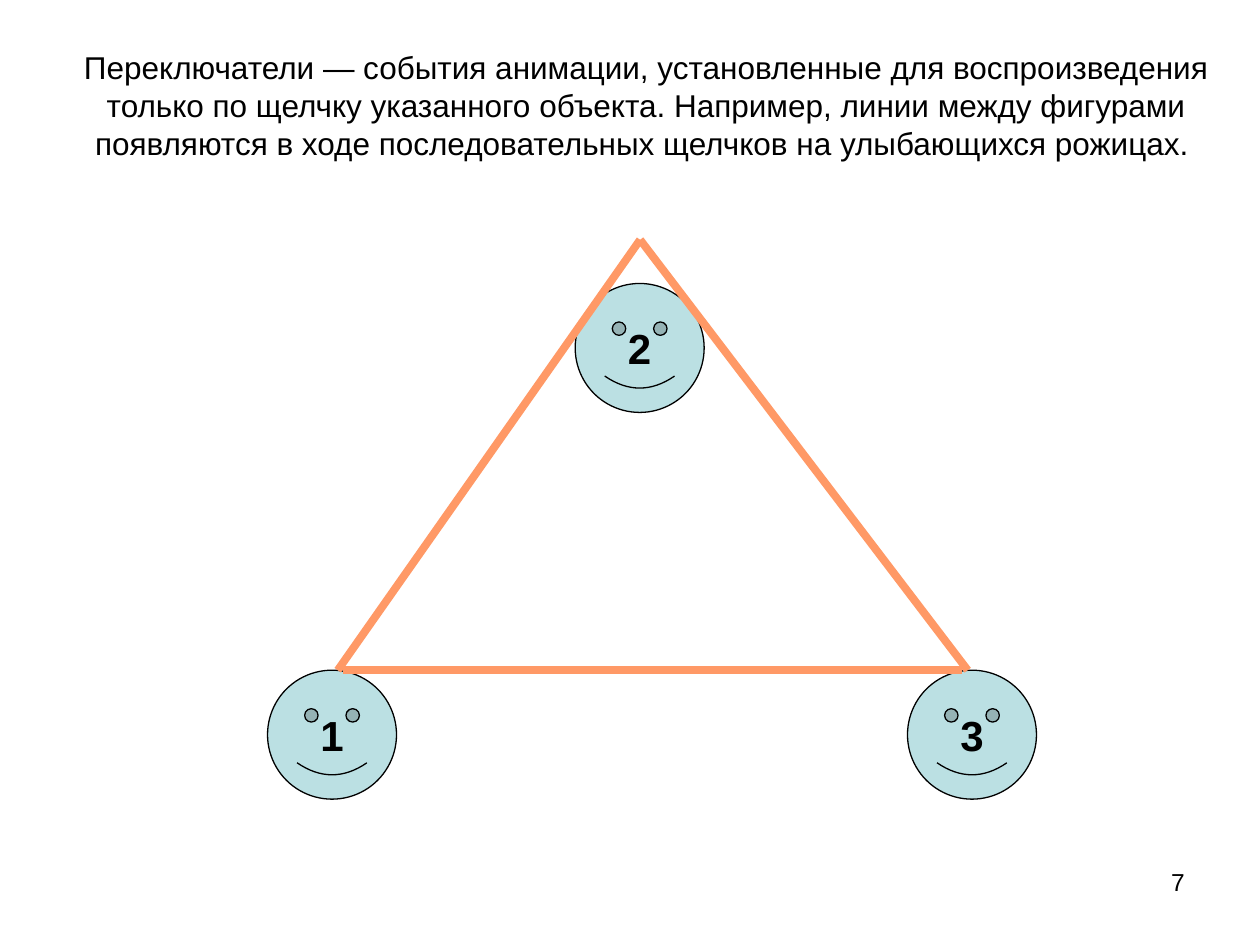
from dataclasses import dataclass
from itertools import combinations

from lxml.etree import SubElement
from pptx import Presentation
from pptx.dml.color import RGBColor
from pptx.enum.shapes import MSO_CONNECTOR as Line, MSO_SHAPE as Shape
from pptx.enum.text import MSO_ANCHOR as Anchor, PP_ALIGN as Align
from pptx.oxml.ns import qn
from pptx.util import Pt


@dataclass(frozen=True)
class Theme:
    font: str = "Arial"
    ink: RGBColor = RGBColor(0x00, 0x00, 0x00)
    face: RGBColor = RGBColor(0xBB, 0xE0, 0xE3)
    link: RGBColor = RGBColor(0xFF, 0x99, 0x66)
    title: int = 18
    label: int = 24
    number: int = 14
    outline: float = 0.75
    link_width: float = 4.5


THEME = Theme()
TITLE = (
    "Переключатели — события анимации, установленные для воспроизведения "
    "только по щелчку указанного объекта. Например, линии между фигурами "
    "появляются в ходе последовательных щелчков на улыбающихся рожицах. "
)
PAGE = "7"
TITLE_BOX = (36, 15, 666.7, 90)
PAGE_BOX = (516, 492, 168, 37.5)
FACE_SIZE = 73.7
FACES = [("1", 152.9, 383), ("2", 328.7, 162), ("3", 518.6, 383)]
CORNERS = [(193, 383), (365.8, 137), (553, 383)]
BASE_INSET = 3


def write(shape, text, size, align, anchor, bold=False, wrap=True):
    tf = shape.text_frame
    tf.word_wrap = wrap
    tf.vertical_anchor = anchor
    p = tf.paragraphs[0]
    p.alignment = align
    r = p.add_run()
    r.text = text
    r.font.name = THEME.font
    r.font.size = Pt(size)
    r.font.bold = bold
    r.font.color.rgb = THEME.ink


def add_face(s, label, left, top):
    sp = s.shapes.add_shape(
        Shape.SMILEY_FACE, Pt(left), Pt(top), Pt(FACE_SIZE), Pt(FACE_SIZE)
    )
    sp.shadow.inherit = False
    sp.fill.solid()
    sp.fill.fore_color.rgb = THEME.face
    sp.line.color.rgb = THEME.ink
    sp.line.width = Pt(THEME.outline)
    write(sp, label, THEME.label, Align.CENTER, Anchor.MIDDLE, bold=True, wrap=False)


def add_link(s, start, end):
    inset = BASE_INSET if start[1] == end[1] else 0
    line = s.shapes.add_connector(
        Line.STRAIGHT,
        Pt(start[0] + inset), Pt(start[1]), Pt(end[0] - inset), Pt(end[1]),
    )
    line.line.color.rgb = THEME.link
    line.line.width = Pt(THEME.link_width)
    SubElement(line._element.spPr, qn("a:effectLst"))


def main():
    prs = Presentation()
    prs.slide_width, prs.slide_height = Pt(720), Pt(540)
    s = prs.slides.add_slide(prs.slide_layouts[5])

    title = s.shapes.title
    title.left, title.top, title.width, title.height = map(Pt, TITLE_BOX)
    write(title, TITLE, THEME.title, Align.CENTER, Anchor.MIDDLE)

    page = s.shapes.add_textbox(*map(Pt, PAGE_BOX))
    write(page, PAGE, THEME.number, Align.RIGHT, Anchor.TOP)

    for face in FACES:
        add_face(s, *face)
    for start, end in combinations(CORNERS, 2):
        add_link(s, start, end)

    prs.save("out.pptx")


if __name__ == "__main__":
    main()
